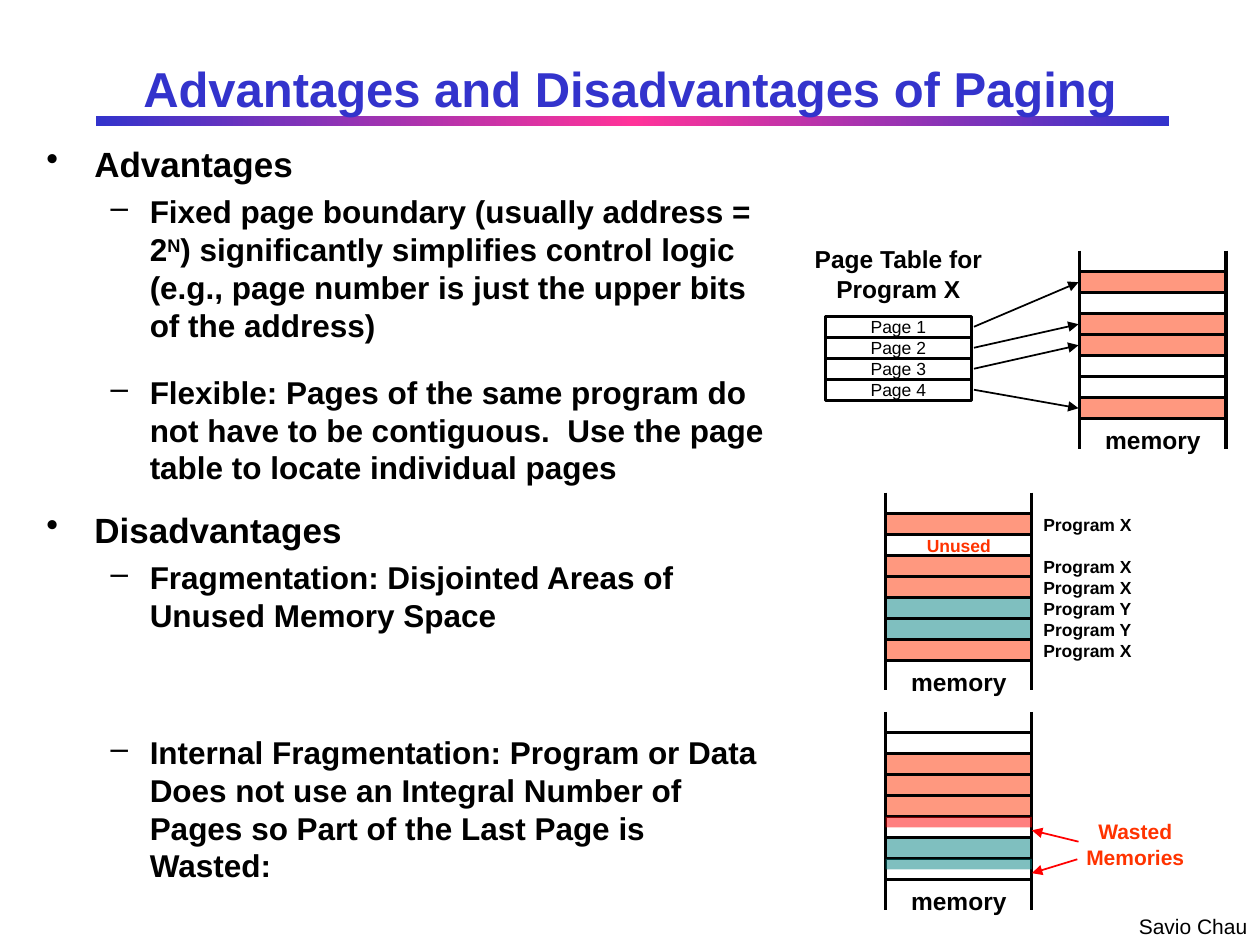
import copy

import pptx
import pptx.util
import pptx.dml.color
import pptx.enum.shapes
import pptx.enum.text
import pptx.oxml
import pptx.oxml.ns

Inches = pptx.util.Inches
Pt = pptx.util.Pt
ALIGN = pptx.enum.text.PP_ALIGN
ANCHOR = pptx.enum.text.MSO_ANCHOR

COLORS = {
    "black": "000000", "title": "3333CC", "pink": "FF3399",
    "orange": "FF3300", "red": "FF0000", "teal": "008080",
}
CELL_W = 1.16
CELL_H = 1 / 6

# level, space before, pieces of text (odd pieces are superscript)
BULLETS = [
    (0, 5, ["Advantages"]),
    (1, 4.5, ["Fixed page boundary (usually address = 2", "N",
              ") significantly simplifies control logic (e.g., page number "
              "is just the upper bits of the address)"]),
    (1, 16.9, ["Flexible: Pages of the same program do not have to be "
               "contiguous.  Use the page table to locate individual pages"]),
    (0, 12.5, ["Disadvantages"]),
    (1, 4.5, ["Fragmentation: Disjointed Areas of Unused Memory Space"]),
    (1, 56.8, ["Internal Fragmentation: Program or Data Does not use an "
               "Integral Number of Pages so Part of the Last Page is Wasted:"]),
]
# size, mark, left margin, hanging indent for each level
LEVELS = [(20, "•", 0.38, 0.38), (18, "–", 0.82, 0.31)]


def rgb(name):
    return pptx.dml.color.RGBColor.from_string(COLORS[name])


def write(frame, text, size, color="black", bold=True, align=ALIGN.CENTER):
    para = frame.paragraphs[0]
    para.text = text
    para.alignment = align
    para.font.name = "Arial"
    para.font.size = Pt(size)
    para.font.bold = bold
    para.font.color.rgb = rgb(color)


def add_text(page, left, top, width, height, text, size, inset=(0, 0),
             anchor=ANCHOR.TOP, wrap=True, **style):
    box = page.shapes.add_textbox(Inches(left), Inches(top), Inches(width), Inches(height))
    frame = box.text_frame
    frame.word_wrap = wrap
    frame.vertical_anchor = anchor
    frame.margin_left = frame.margin_right = Inches(inset[0])
    frame.margin_top = frame.margin_bottom = Inches(inset[1])
    write(frame, text, size, **style)
    return box


def add_cell(page, left, top, fill=None, height=CELL_H, outlined=True):
    cell = page.shapes.add_shape(pptx.enum.shapes.MSO_SHAPE.RECTANGLE, Inches(left),
                                 Inches(top), Inches(CELL_W), Inches(height))
    cell.shadow.inherit = False
    if fill:
        cell.fill.solid()
        cell.fill.fore_color.rgb = rgb(fill)
        tint = cell.fill._xPr.find(".//" + pptx.oxml.ns.qn("a:srgbClr"))
        alpha = tint.makeelement(pptx.oxml.ns.qn("a:alpha"), {"val": "50000"})
        tint.append(alpha)
    else:
        cell.fill.background()
    if outlined:
        cell.line.color.rgb = rgb("black")
        cell.line.width = Pt(1.75)
    else:
        cell.line.fill.background()
    return cell


def add_line(page, start, end, color="black", width=1.75, arrow=False):
    line = page.shapes.add_connector(pptx.enum.shapes.MSO_CONNECTOR.STRAIGHT,
                                     *map(Inches, start + end))
    line.line.color.rgb = rgb(color)
    line.line.width = Pt(width)
    props = line._element.spPr
    if arrow:
        head = props.makeelement(pptx.oxml.ns.qn("a:tailEnd"), {"type": "triangle"})
        line.line._get_or_add_ln().append(head)
    props.append(props.makeelement(pptx.oxml.ns.qn("a:effectLst"), {}))


def add_memory(page, left, top, fills):
    """Draw a column of memory pages between two rails; return the page tops."""
    tops = [top + (row + 1) * CELL_H for row in range(len(fills))]
    for cell_top, fill in zip(tops, fills):
        add_cell(page, left, cell_top, fill)
    for rail in (left, left + CELL_W):
        add_line(page, (rail, top), (rail, top + 1.57))
    add_text(page, left, tops[-1] + CELL_H, CELL_W, 0.34, "memory", 14, inset=(0.1, 0.05))
    return tops


def add_heading(page):
    bar = page.shapes.add_shape(pptx.enum.shapes.MSO_SHAPE.RECTANGLE, Inches(0.76),
                                Inches(0.92), Inches(8.52), Inches(0.08))
    bar.shadow.inherit = False
    bar.line.fill.background()
    bar.fill.gradient()
    bar.fill.gradient_angle = 0
    first = bar.fill.gradient_stops[0]._gs
    first.addnext(copy.deepcopy(first))
    for stop, place, name in zip(bar.fill.gradient_stops, (0, 0.5, 1),
                                 ("title", "pink", "title")):
        stop.position = place
        stop.color.rgb = rgb(name)
    add_text(page, 0.75, 0.41, 8.5, 0.58, "Advantages and Disadvantages of Paging", 28,
             inset=(0.1, 0.05), anchor=ANCHOR.MIDDLE, color="title")


def add_bullets(page):
    box = page.shapes.add_textbox(Inches(0.27), Inches(1.08), Inches(5.98), Inches(6.16))
    frame = box.text_frame
    frame.word_wrap = True
    for number, (level, before, pieces) in enumerate(BULLETS):
        para = frame.paragraphs[0] if number == 0 else frame.add_paragraph()
        size, mark, margin, hang = LEVELS[level]
        para.level = level
        para.space_before = Pt(before)
        para.font.name = "Arial"
        para.font.size = Pt(size)
        para.font.bold = True
        para.font.color.rgb = rgb("black")
        for index, piece in enumerate(pieces):
            span = para.add_run()
            span.text = piece
            if index % 2:
                span.font._element.set("baseline", "30000")
        props = para._p.get_or_add_pPr()
        props.set("marL", str(Inches(margin)))
        props.set("indent", str(-Inches(hang)))
        bullet = props.makeelement(pptx.oxml.ns.qn("a:buChar"), {"char": mark})
        props.find(pptx.oxml.ns.qn("a:defRPr")).addprevious(bullet)


def add_page_table(page):
    memory_left = 8.57
    tops = add_memory(page, memory_left, 1.99,
                      ["orange", None, "orange", "orange", None, None, "orange"])
    add_text(page, 6.34, 1.94, 1.58, 0.47, "Page Table for Program X", 14)
    for row, target in enumerate((0, 2, 3, 6)):
        top = 2.51 + row * CELL_H
        cell = add_cell(page, 6.55, top)
        cell.text_frame.word_wrap = False
        cell.text_frame.vertical_anchor = ANCHOR.MIDDLE
        write(cell.text_frame, f"Page {row + 1}", 10, bold=False)
        add_line(page, (7.73, top + CELL_H / 2),
                 (memory_left - 0.01, tops[target] + CELL_H / 2), width=1, arrow=True)


def add_fragmentation(page):
    left = 7.03
    owners = ["X", None, "X", "X", "Y", "Y", "X"]
    fills = {"X": "orange", "Y": "teal", None: None}
    tops = add_memory(page, left, 3.91, [fills[owner] for owner in owners])
    for top, owner in zip(tops, owners):
        if owner:
            add_text(page, left + CELL_W, top, 0.88, CELL_H, f"Program {owner}", 10)
        else:
            add_text(page, left, top, CELL_W, CELL_H, "Unused", 10, color="orange")


def add_internal_fragmentation(page):
    left = 7.03
    tops = add_memory(page, left, 5.65,
                      [None, "orange", "orange", "orange", None, "teal", None])
    # Half-used last pages
    for row, fill in ((4, "red"), (6, "teal")):
        add_cell(page, left, tops[row], fill, CELL_H / 2, outlined=False)
    add_text(page, 8.47, 6.5, 1.08, 0.4, "Wasted Memories", 12, color="orange")
    for start, end in (((8.56, 6.68), (8.19, 6.59)), ((8.55, 6.82), (8.19, 6.93))):
        add_line(page, start, end, color="red", width=1, arrow=True)


def main():
    deck = pptx.Presentation()
    deck.slide_width, deck.slide_height = Inches(10), Inches(7.5)
    page = deck.slides.add_slide(deck.slide_layouts[6])
    add_heading(page)
    add_bullets(page)
    add_page_table(page)
    add_fragmentation(page)
    add_internal_fragmentation(page)
    # Author
    add_text(page, 8.94, 7.2, 1.06, 0.3, "Savio Chau", 12, inset=(0.1, 0.05),
             wrap=False, bold=False, align=ALIGN.LEFT)
    deck.save("out.pptx")


if __name__ == "__main__":
    main()
